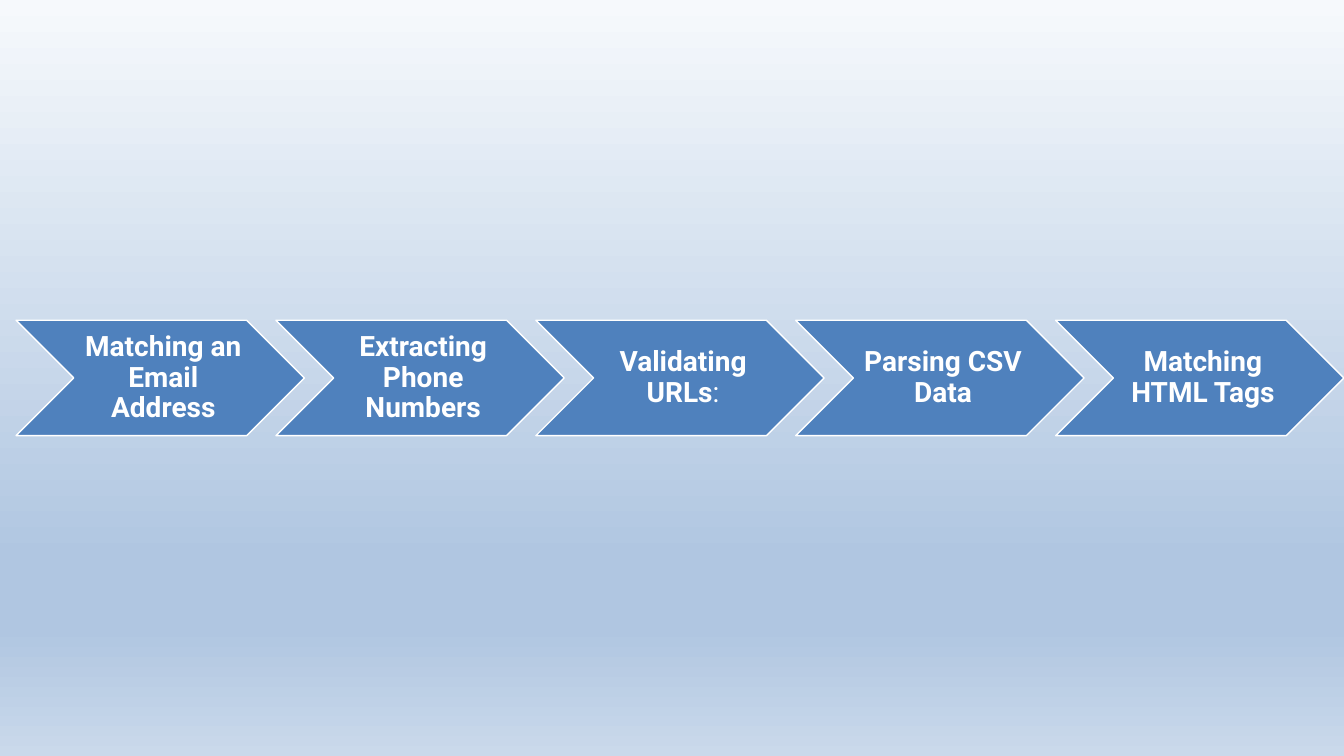
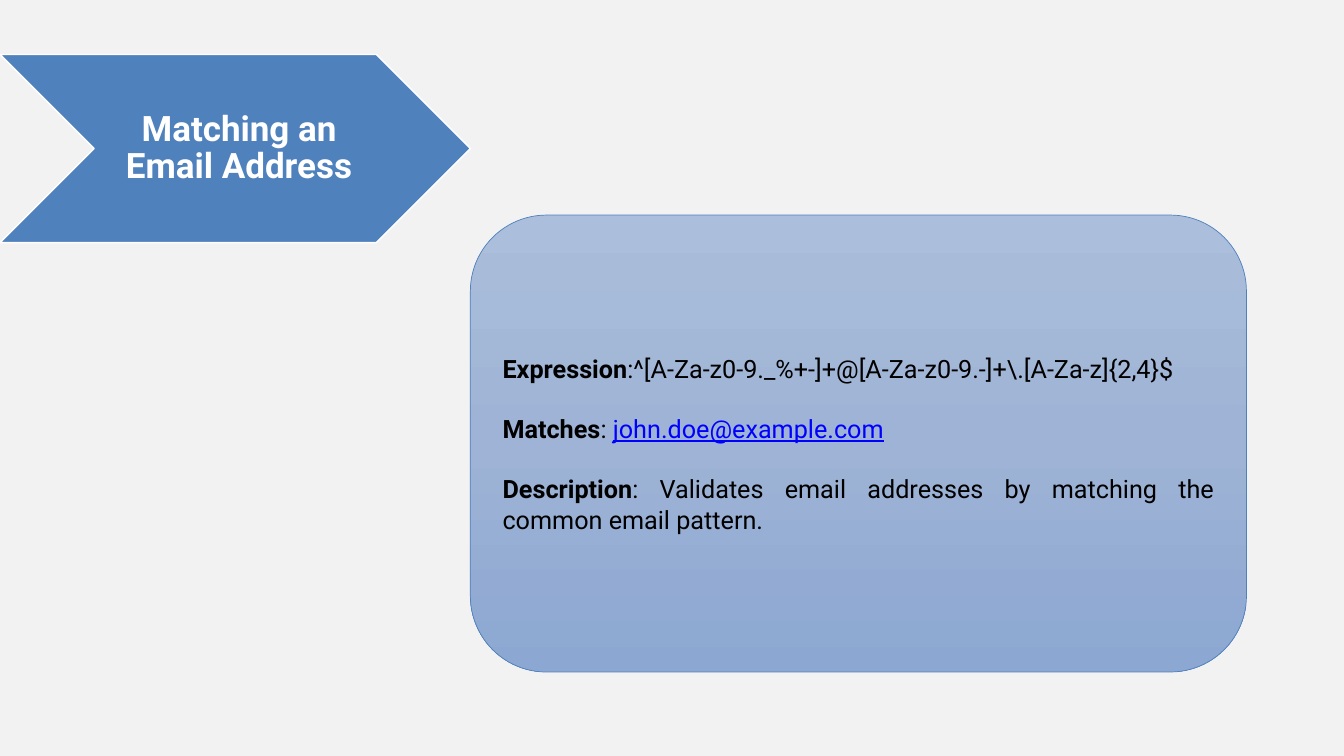
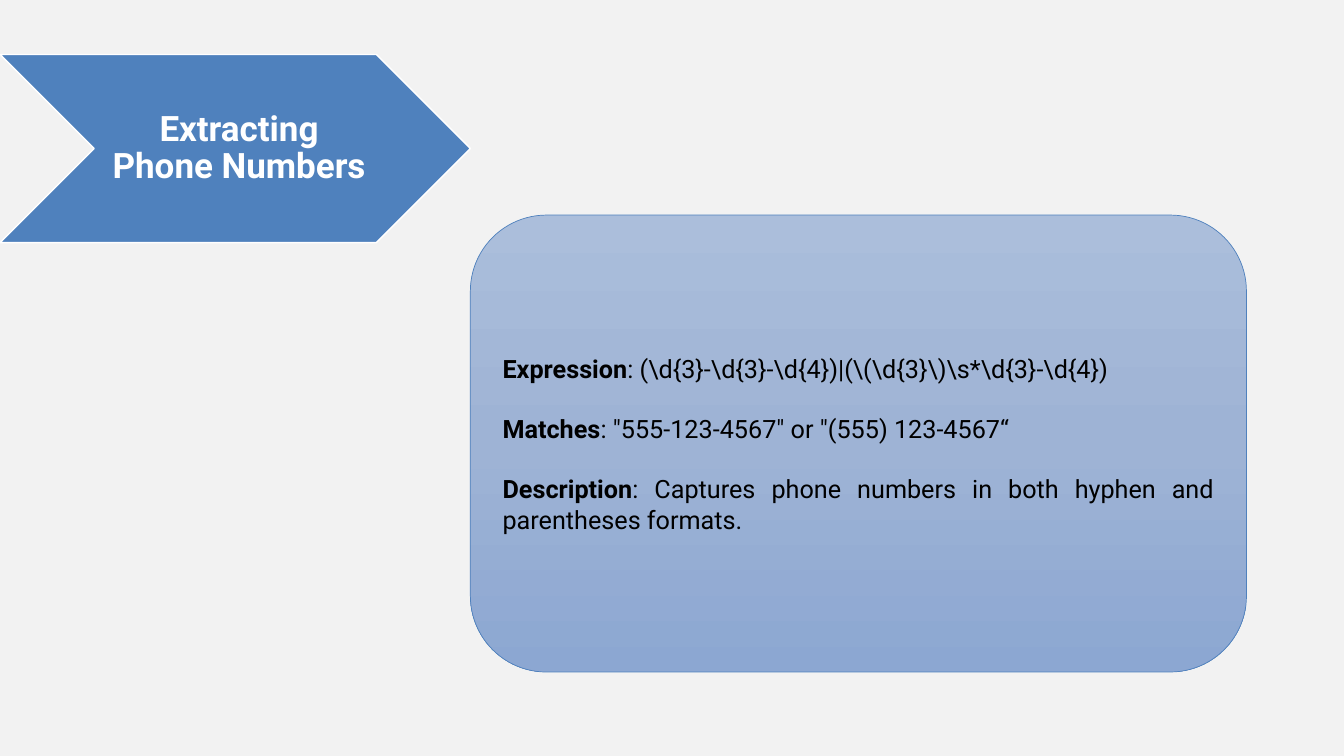
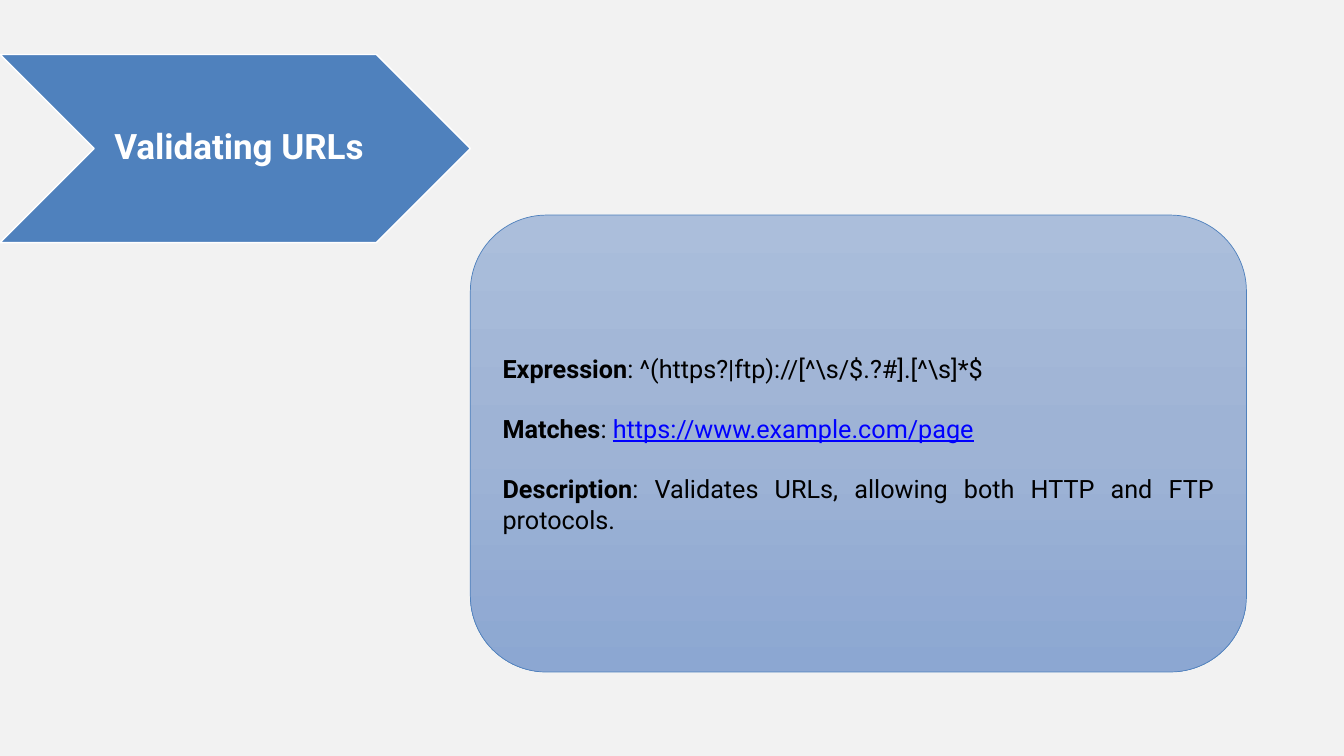
from copy import deepcopy

from pptx import Presentation
from pptx.dml.color import RGBColor
from pptx.enum.shapes import MSO_SHAPE
from pptx.enum.text import MSO_ANCHOR, PP_ALIGN
from pptx.util import Inches, Pt

# Grid of square cells, three to the inch
COLS, ROWS = 40, 22.5
BLUE, WHITE, BLACK, LINK, PALE = "4F81BD", "FFFFFF", "000000", "0000FF", "F2F2F2"
SKY = [(0, "F6F9FC"), (74, "B0C6E1"), (83, "B0C6E1"), (100, "CAD9EB")]
HAZE = [(0, "ABBEDB"), (50, "9EB3D5"), (100, "8CA7D2")]


def cell(n):
    return Inches(n / 3)


def color(code):
    return RGBColor.from_string(code)


class Deck:
    """Style of the deck and the slide being drawn."""
    face = "Roboto"
    ratio = 0.4  # chevron height to width

    def __init__(self):
        self.show = Presentation()
        self.show.slide_width, self.show.slide_height = cell(COLS), cell(ROWS)

    def page(self):
        self.slide = self.show.slides.add_slide(self.show.slide_layouts[6])
        return self.slide.background.fill

    def plain(self):
        fill = self.page()
        fill.solid()
        fill.fore_color.rgb = color(PALE)

    def sky(self):
        self.blend(self.page(), self.slide, SKY)

    def blend(self, fill, owner, stops):
        """Vertical gradient with any number of stops."""
        fill.gradient()
        fill.gradient_angle = 270
        held = owner._element.xpath(".//a:gsLst")[0]
        first = held[0]
        for stop in list(held)[1:]:
            held.remove(stop)
        held.extend([deepcopy(first) for _ in stops[1:]])
        for stop, (pos, code) in zip(fill.gradient_stops, stops):
            stop.position = pos / 100
            stop.color.rgb = color(code)

    def shape(self, kind, box, line, width):
        item = self.slide.shapes.add_shape(kind, *map(cell, box))
        item.shadow.inherit = False
        item.line.color.rgb = color(line)
        item.line.width = Pt(width)
        frame = item.text_frame
        frame.word_wrap = True
        frame.vertical_anchor = MSO_ANCHOR.MIDDLE
        return item, frame

    def style(self, para, size, code, align):
        para.alignment = align
        para.font.name = self.face
        para.font.size = Pt(size)
        para.font.color.rgb = color(code)

    def arrow(self, left, top, wide, size, text, tail=""):
        box = left, top, wide, wide * self.ratio
        item, frame = self.shape(MSO_SHAPE.CHEVRON, box, WHITE, 1)
        item.fill.solid()
        item.fill.fore_color.rgb = color(BLUE)
        edge = Pt(size / 9)
        frame.margin_left = 3 * edge
        frame.margin_right = frame.margin_top = frame.margin_bottom = edge
        para = frame.paragraphs[0]
        self.style(para, size, WHITE, PP_ALIGN.CENTER)
        para.line_spacing = 0.9
        para.font.bold = True
        para.add_run().text = text
        if tail:
            run = para.add_run()
            run.text, run.font.bold = tail, False

    def panel(self, rows):
        kind = MSO_SHAPE.FLOWCHART_ALTERNATE_PROCESS
        item, frame = self.shape(kind, (14, 6.4, 23.1, 13.6), BLUE, 0.5)
        self.blend(item.fill, item, HAZE)
        for i, (head, text, link) in enumerate(rows):
            para = frame.add_paragraph() if i else frame.paragraphs[0]
            self.style(para, 18, BLACK, PP_ALIGN.JUSTIFY)
            para.space_before = Pt(21.5 if i else 0)
            run = para.add_run()
            run.text, run.font.bold = head, True
            para.add_run().text = text
            if link:
                run = para.add_run()
                run.text, run.font.underline = link, True
                run.font.color.rgb = color(LINK)


STEPS = [("Matching an Email Address", ""), ("Extracting Phone Numbers", ""),
         ("Validating URLs", ":"), ("Parsing CSV Data", ""),
         ("Matching HTML Tags", "")]

# Expression, match, linked match, description
CASES = [
    (r":^[A-Za-z0-9._%+-]+@[A-Za-z0-9.-]+\.[A-Za-z]{2,4}$",
     ": ", "john.doe@example.com",
     ": Validates email addresses by matching the common email pattern."),
    (r": (\d{3}-\d{3}-\d{4})|(\(\d{3}\)\s*\d{3}-\d{4})",
     ': "555-123-4567" or "(555) 123-4567“', "",
     ": Captures phone numbers in both hyphen and parentheses formats."),
    (r": ^(https?|ftp)://[^\s/$.?#].[^\s]*$",
     ": ", "https://www.example.com/page",
     ": Validates URLs, allowing both HTTP and FTP protocols."),
]


def main():
    deck = Deck()

    # Overview: a row of arrows reaching the right edge
    deck.sky()
    left, wide = 0.48, 8.58
    step = (COLS - left - wide) / (len(STEPS) - 1)
    top = (ROWS - wide * deck.ratio) / 2
    for i, (text, tail) in enumerate(STEPS):
        deck.arrow(left + i * step, top, wide, 20, text, tail)

    # One slide for each example
    for (title, _), (rule, match, link, note) in zip(STEPS, CASES):
        deck.plain()
        deck.arrow(0, 1.62, 14, 25, title)
        deck.panel([("Expression", rule, ""), ("Matches", match, link),
                    ("Description", note, "")])

    deck.show.save("out.pptx")


if __name__ == "__main__":
    main()
